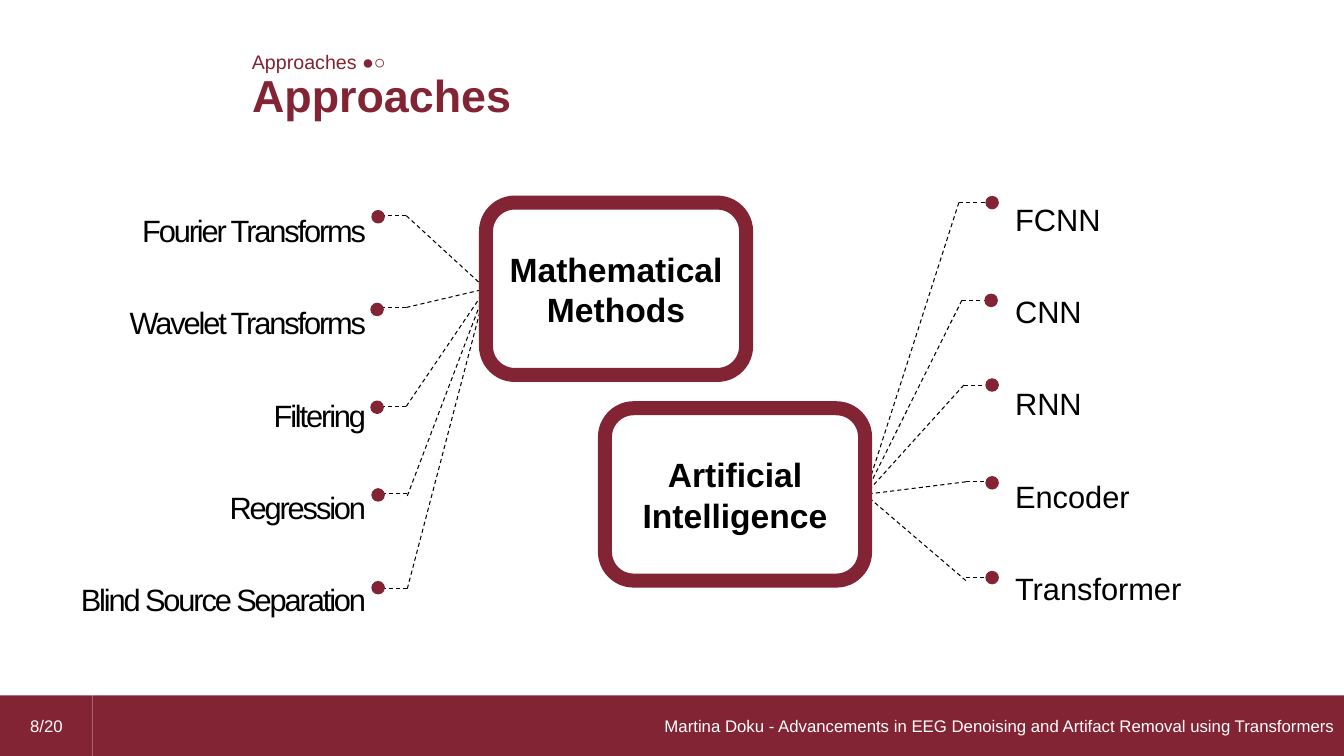
from dataclasses import dataclass

from lxml import etree
from pptx import Presentation
from pptx import util as u
from pptx.dml.color import RGBColor
from pptx.enum import dml, shapes, text
from pptx.oxml.ns import qn

COLORS = {"wine": "822433", "black": "000000", "white": "FFFFFF"}
FONT = "Arial"
DOT = 0.12
BOX_W, BOX_H = 2.58, 1.71
LEFT, CENTER, RIGHT = text.PP_ALIGN.LEFT, text.PP_ALIGN.CENTER, text.PP_ALIGN.RIGHT


@dataclass
class Branch:
    label: str
    dot_left: float
    dot_top: float
    tip_x: float
    elbow_x: float
    stub_y: float
    arm_y: float


@dataclass
class Group:
    name: str
    left: float
    top: float
    side: int
    list_area: tuple[float, float, float, float]
    align: text.PP_ALIGN
    tracking: int
    branches: list[Branch]


GROUPS = [
    Group("Mathematical Methods", 4.82, 2.01, 1, (0, 1.5, 3.73, 4.57), RIGHT, -150, [
        Branch("Fourier Transforms", 3.69, 2.09, 3.7, 4.03, 2.14, 2.14),
        Branch("Wavelet Transforms", 3.68, 3.01, 3.7, 4.03, 3.05, 3.05),
        Branch("Filtering", 3.68, 3.98, 3.71, 4.03, 4.03, 4.03),
        Branch("Regression", 3.69, 4.85, 3.7, 4.04, 4.9, 4.92),
        Branch("Blind Source Separation", 3.69, 5.77, 3.7, 4.04, 5.84, 5.84),
    ]),
    Group("Artificial Intelligence", 6, 4.05, 3, (9.97, 1.39, 3.3, 4.57), LEFT, 0, [
        Branch("FCNN", 9.78, 1.95, 9.84, 9.51, 2.01, 2.01),
        Branch("CNN", 9.77, 2.92, 9.86, 9.54, 2.98, 2.98),
        Branch("RNN", 9.78, 3.76, 9.89, 9.56, 3.82, 3.82),
        Branch("Encoder", 9.78, 4.73, 9.9, 9.58, 4.78, 4.78),
        Branch("Transformer", 9.78, 5.67, 9.9, 9.58, 5.73, 5.76),
    ]),
]


def inches(*values: float) -> list[u.Inches]:
    return [u.Inches(v) for v in values]


def rgb(name: str) -> RGBColor:
    return RGBColor.from_string(COLORS[name])


def add_run(p, words: str, size: float, color: str, bold: bool = False, tracking: int = 0) -> None:
    r = p.add_run()
    r.text = words
    r.font.name = FONT
    r.font.size = u.Pt(size)
    r.font.bold = bold
    r.font.color.rgb = rgb(color)
    if tracking:
        r._r.get_or_add_rPr().set("spc", str(tracking))


def add_shape(slide, kind, area, fill: str | None, line: str | None = None, width: float = 1):
    sp = slide.shapes.add_shape(kind, *inches(*area))
    sp.shadow.inherit = False
    if fill:
        sp.fill.solid()
        sp.fill.fore_color.rgb = rgb(fill)
    else:
        sp.fill.background()
    if line:
        sp.line.color.rgb = rgb(line)
        sp.line.width = u.Pt(width)
    else:
        sp.line.fill.background()
    return sp


def write_middle(sp, words: str, size: float, color: str, align, bold: bool = False) -> None:
    tf = sp.text_frame
    tf.word_wrap = True
    tf.vertical_anchor = text.MSO_ANCHOR.MIDDLE
    p = tf.paragraphs[0]
    p.alignment = align
    add_run(p, words, size, color, bold)


def add_textbox(slide, area):
    tf = slide.shapes.add_textbox(*inches(*area)).text_frame
    tf.word_wrap = True
    tf.auto_size = text.MSO_AUTO_SIZE.SHAPE_TO_FIT_TEXT
    return tf


def add_dashed(slide, x1: float, y1: float, x2: float, y2: float):
    line = slide.shapes.add_connector(shapes.MSO_CONNECTOR.STRAIGHT, *inches(x1, y1, x2, y2))
    line.line.color.rgb = rgb("black")
    line.line.width = u.Pt(0.75)
    line.line.dash_style = dml.MSO_LINE.DASH
    etree.SubElement(line._element.spPr, qn("a:effectLst"))
    return line


def add_footer(slide) -> None:
    for left, width, words, align in [
        (0.92, 12.42, "Martina Doku - Advancements in EEG Denoising and Artifact Removal using Transformers", RIGHT),
        (0, 0.92, "8/20", CENTER),
    ]:
        sp = add_shape(slide, shapes.MSO_SHAPE.RECTANGLE, (left, 6.9, width, 0.6), "wine")
        write_middle(sp, words, 12, "white", align)


def add_heading(slide) -> None:
    title = slide.shapes.title
    title.left, title.top, title.width, title.height = inches(2.4, 0.62, 10.07, 0.64)
    tf = title.text_frame
    tf.word_wrap = True
    tf.auto_size = text.MSO_AUTO_SIZE.SHAPE_TO_FIT_TEXT
    tf.vertical_anchor = text.MSO_ANCHOR.TOP
    tf.paragraphs[0].alignment = LEFT
    add_run(tf.paragraphs[0], "Approaches", 32, "wine", True)
    section = add_textbox(slide, (2.4, 0.45, 2.42, 0.34))
    add_run(section.paragraphs[0], "Approaches ●○", 14, "wine")


def add_group(slide, group: Group) -> None:
    tf = add_textbox(slide, group.list_area)
    box = add_shape(slide, shapes.MSO_SHAPE.ROUNDED_RECTANGLE,
                    (group.left, group.top, BOX_W, BOX_H), None, "wine", 10)
    write_middle(box, group.name, 24, "black", CENTER, True)
    for i, b in enumerate(group.branches):
        p = tf.add_paragraph() if i else tf.paragraphs[0]
        p.alignment = group.align
        p.line_spacing = 2.5
        add_run(p, b.label, 22, "black", tracking=group.tracking)
        add_dashed(slide, b.elbow_x, b.stub_y, b.tip_x, b.stub_y)
        arm = add_dashed(slide, b.elbow_x, b.arm_y, group.left, group.top)
        arm.end_connect(box, group.side)
        add_shape(slide, shapes.MSO_SHAPE.OVAL, (b.dot_left, b.dot_top, DOT, DOT), "wine", "wine")
    slide.shapes._spTree.append(box._element)


def main() -> None:
    prs = Presentation()
    prs.slide_width, prs.slide_height = inches(13.33, 7.5)
    slide = prs.slides.add_slide(prs.slide_layouts[5])
    add_footer(slide)
    add_heading(slide)
    for group in GROUPS:
        add_group(slide, group)
    prs.save("out.pptx")


if __name__ == "__main__":
    main()
